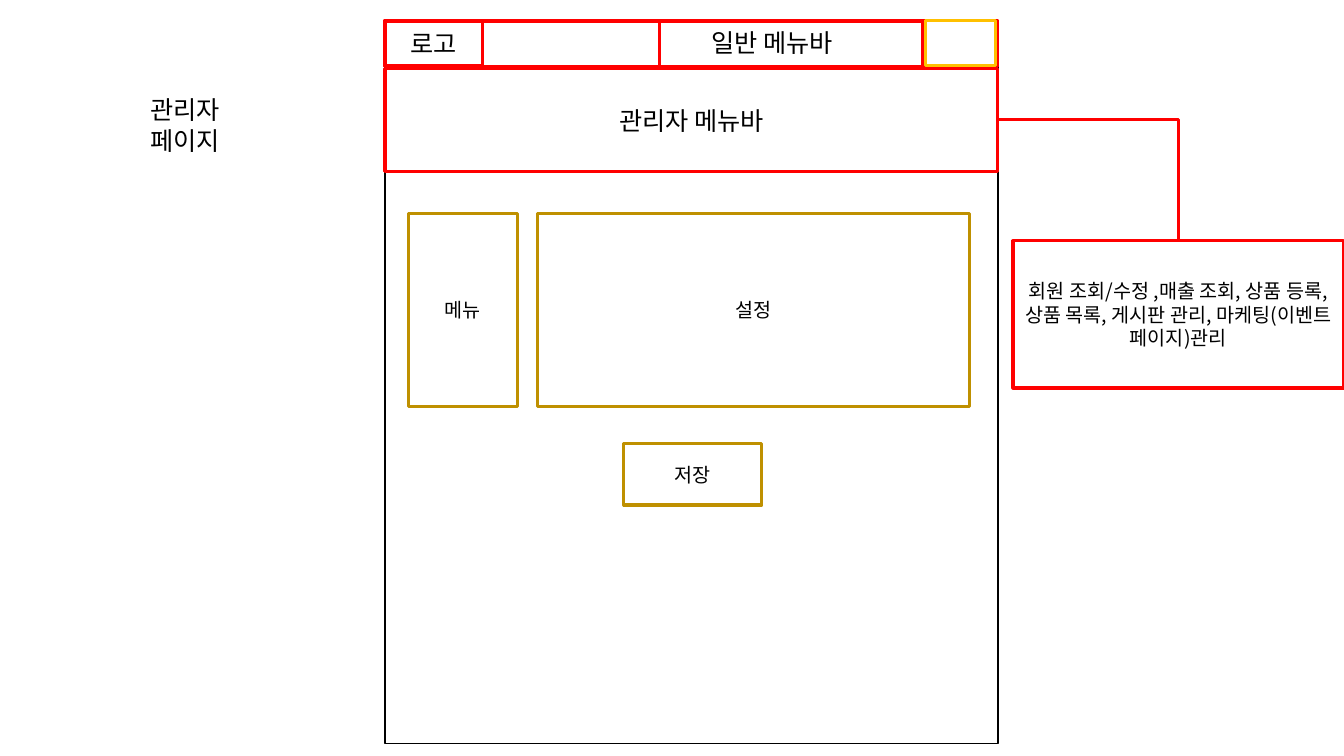
from lxml import etree
from pptx import Presentation
from pptx.dml.color import RGBColor
from pptx.enum import shapes, text
from pptx.oxml import ns
from pptx.util import Pt

BLACK = RGBColor(0x00, 0x00, 0x00)
WHITE = RGBColor(0xFF, 0xFF, 0xFF)
RED = RGBColor(0xFF, 0x00, 0x00)
AMBER = RGBColor(0xFF, 0xC0, 0x00)
OCHRE = RGBColor(0xBF, 0x90, 0x00)
FONT = "Noto Sans CJK KR"
FRAME_LEFT, FRAME_WIDTH = 275, 437.8
FRAME_RIGHT = FRAME_LEFT + FRAME_WIDTH
BAR_HEIGHT = 32.4
PANEL_TOP, PANEL_HEIGHT = 152.6, 137.5


def write_text(box, words, size=18, align=text.PP_ALIGN.CENTER,
               anchor=text.MSO_ANCHOR.MIDDLE):
    frame = box.text_frame
    frame.word_wrap = True
    frame.vertical_anchor = anchor
    para = frame.paragraphs[0]
    para.alignment = align
    span = para.add_run()
    span.text = words
    span.font.size = Pt(size)
    span.font.name = FONT
    span.font.color.rgb = BLACK
    east_asian = etree.SubElement(span.font._element, ns.qn("a:ea"))
    east_asian.set("typeface", FONT)


def add_box(page, left, top, width, height, color, weight=2.25, filled=True,
            words="", size=18):
    box = page.shapes.add_shape(shapes.MSO_SHAPE.RECTANGLE, Pt(left), Pt(top),
                                Pt(width), Pt(height))
    box.shadow.inherit = False
    if filled:
        box.fill.solid()
        box.fill.fore_color.rgb = WHITE
    else:
        box.fill.background()
    box.line.color.rgb = color
    box.line.width = Pt(weight)
    if words:
        write_text(box, words, size)


def add_label(page, left, top, width, height, words, align):
    box = page.shapes.add_textbox(Pt(left), Pt(top), Pt(width), Pt(height))
    write_text(box, words, align=align, anchor=text.MSO_ANCHOR.TOP)


def add_elbow(page, start, end, color):
    elbow = page.shapes.add_connector(
        shapes.MSO_CONNECTOR.ELBOW, *(Pt(value) for value in start + end))
    elbow.line.color.rgb = color
    elbow.line.width = Pt(2.25)
    properties = elbow._element.spPr
    properties.find(ns.qn("a:prstGeom")).set("prst", "bentConnector2")
    etree.SubElement(properties, ns.qn("a:effectLst"))


def add_top_bar(page):
    add_box(page, FRAME_LEFT, 15, FRAME_WIDTH, BAR_HEIGHT, RED)
    add_box(page, 470.9, 15.1, 187.9, BAR_HEIGHT, RED)
    add_label(page, 501.1, 15.8, 147.6, 29, "일반 메뉴바", text.PP_ALIGN.LEFT)
    add_box(page, 661, 14.6, 50.4, BAR_HEIGHT, AMBER)
    add_box(page, FRAME_LEFT, 14.6, 69.8, BAR_HEIGHT, RED, filled=False,
            words="로고")


def add_panels(page):
    for left, top, width, height, words in (
            (383.8, PANEL_TOP, 308.9, PANEL_HEIGHT, "설정"),
            (291.6, PANEL_TOP, 77.8, PANEL_HEIGHT, "메뉴"),
            (445.7, 316.8, 98.6, 44, "저장")):
        add_box(page, left, top, width, height, OCHRE, words=words, size=14)


def main():
    deck = Presentation()
    deck.slide_width, deck.slide_height = Pt(960), Pt(540)
    page = deck.slides.add_slide(deck.slide_layouts[6])
    add_box(page, FRAME_LEFT, 18.7, FRAME_WIDTH, 512.6, BLACK, weight=1)
    add_top_bar(page)
    add_box(page, FRAME_LEFT, 49, FRAME_WIDTH, 73.4, RED, words="관리자 메뉴바")
    add_panels(page)
    add_elbow(page, (FRAME_RIGHT, 85.7), (841.7, 172.1), RED)
    add_box(page, 723.6, 172.1, 236.2, 105.1, RED, size=14,
            words="회원 조회/수정 ,매출 조회, 상품 등록, 상품 목록, 게시판 관리, "
                  "마케팅(이벤트 페이지)관리")
    add_label(page, 74.9, 64.1, 114.5, 29, "관리자 페이지",
              text.PP_ALIGN.CENTER)
    deck.save("out.pptx")


if __name__ == "__main__":
    main()
